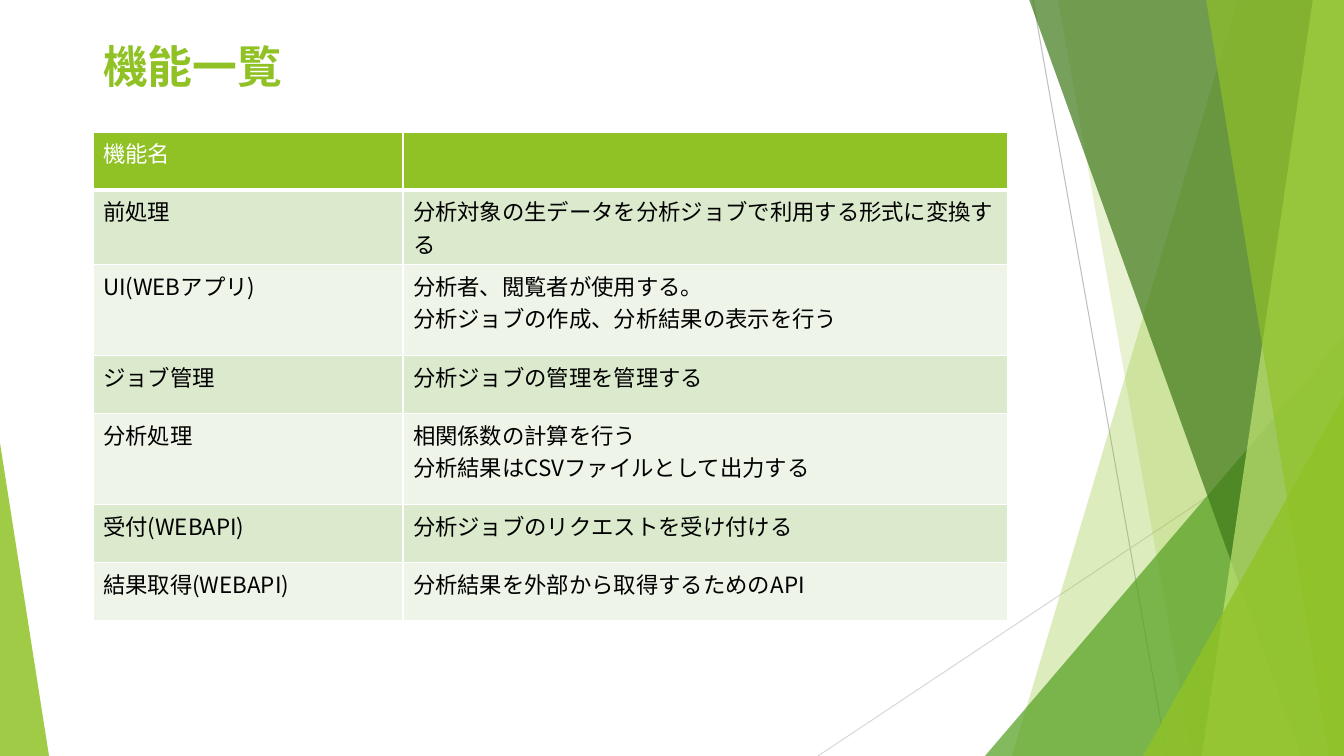
from dataclasses import dataclass

import pptx
import pptx.dml.color
import pptx.enum.shapes
import pptx.enum.text
import pptx.oxml
import pptx.oxml.ns
import pptx.util

PX = 914400 / 100.8
COLORS = {
    "lime": "90C226",
    "green": "54A021",
    "forest": "3F7819",
    "pale": "C0E474",
    "gray": "BFBFBF",
    "light_gray": "D9D9D9",
    "white": "FFFFFF",
    "black": "000000",
    "band_dark": "DBE9CD",
    "band_light": "EEF4E8",
}
JAPANESE_FONT = "Noto Sans CJK JP"


@dataclass
class Ray:
    start: tuple[int, int]
    end: tuple[int, int]
    color: str


@dataclass
class Facet:
    top_x: int
    bottom_x: int
    color: str
    alpha: int


@dataclass
class Corner:
    left: int
    top: int
    width: int
    apex: int
    color: str
    alpha: int


@dataclass
class Feature:
    name: str
    details: list[str]
    height: int = 58


RAYS = [
    Ray((1033, 0), (1167, 756), "gray"),
    Ray((1344, 406), (818, 756), "light_gray"),
]
DECORATIONS = [
    Facet(1238, 1012, "lime", 30),
    Facet(1058, 1192, "lime", 20),
    Corner(985, 336, 359, 1, "green", 72),
    Facet(1029, 1301, "forest", 70),
    Facet(1313, 1202, "pale", 70),
    Facet(1206, 1329, "lime", 65),
    Corner(1143, 396, 201, 1, "lime", 80),
    Corner(0, 443, 49, 0, "lime", 85),
]
FEATURES = [
    Feature("機能名", []),
    Feature("前処理", ["分析対象の生データを分析ジョブで利用する形式に変換する"]),
    Feature("UI(WEBアプリ)", ["分析者、閲覧者が使用する。", "分析ジョブの作成、分析結果の表示を行う"], 91),
    Feature("ジョブ管理", ["分析ジョブの管理を管理する"]),
    Feature("分析処理", ["相関係数の計算を行う", "分析結果はCSVファイルとして出力する"], 91),
    Feature("受付(WEBAPI)", ["分析ジョブのリクエストを受け付ける"]),
    Feature("結果取得(WEBAPI)", ["分析結果を外部から取得するためのAPI"]),
]
COLUMN_WIDTHS = [310, 605]


def px(value: int) -> pptx.util.Emu:
    return pptx.util.Emu(round(value * PX))


def rgb(name: str) -> pptx.dml.color.RGBColor:
    return pptx.dml.color.RGBColor.from_string(COLORS[name])


def style_paragraph(p, size: int, color: str, latin: str, bold: bool = False) -> None:
    p.font.size = pptx.util.Pt(size)
    p.font.bold = bold
    p.font.color.rgb = rgb(color)
    p.font.name = latin
    ea = pptx.oxml.parse_xml(
        f'<a:ea {pptx.oxml.ns.nsdecls("a")} typeface="{JAPANESE_FONT}"/>'
    )
    p.font._element.append(ea)


def draw_ray(slide, ray: Ray) -> None:
    line = slide.shapes.add_connector(
        pptx.enum.shapes.MSO_CONNECTOR.STRAIGHT,
        *map(px, ray.start + ray.end),
    )
    line.line.color.rgb = rgb(ray.color)
    line.line.width = pptx.util.Pt(0.75)
    sp_pr = line._element.spPr
    sp_pr.append(pptx.oxml.parse_xml(f'<a:effectLst {pptx.oxml.ns.nsdecls("a")}/>'))


def fill_shape(sp, color: str, alpha: int) -> None:
    sp.shadow.inherit = False
    sp.line.fill.background()
    sp.fill.solid()
    sp.fill.fore_color.rgb = rgb(color)
    srgb = sp._element.spPr.find(".//" + pptx.oxml.ns.qn("a:srgbClr"))
    srgb.append(pptx.oxml.parse_xml(
        f'<a:alpha {pptx.oxml.ns.nsdecls("a")} val="{alpha * 1000}"/>'
    ))


def draw_facet(slide, facet: Facet) -> None:
    builder = slide.shapes.build_freeform(facet.top_x, -1, scale=PX)
    builder.add_line_segments([(1344, -1), (1344, 756), (facet.bottom_x, 756)])
    fill_shape(builder.convert_to_shape(), facet.color, facet.alpha)


def draw_corner(slide, corner: Corner) -> None:
    sp = slide.shapes.add_shape(
        pptx.enum.shapes.MSO_SHAPE.ISOSCELES_TRIANGLE,
        px(corner.left), px(corner.top), px(corner.width), px(756 - corner.top),
    )
    sp.adjustments[0] = corner.apex
    fill_shape(sp, corner.color, corner.alpha)


def draw_title(slide) -> None:
    title = slide.shapes.title
    title.left, title.top, title.width, title.height = map(px, (93, 40, 882, 77))
    tf = title.text_frame
    tf.text = "機能一覧"
    tf.word_wrap = True
    tf.vertical_anchor = pptx.enum.text.MSO_ANCHOR.TOP
    p = tf.paragraphs[0]
    p.alignment = pptx.enum.text.PP_ALIGN.LEFT
    p.line_spacing = 0.9
    style_paragraph(p, 32, "lime", "Karla", True)


def fill_cell(cell, lines: list[str], fill: str, color: str, bottom: int) -> None:
    tf = cell.text_frame
    tf.text = "\n".join(lines)
    for p in tf.paragraphs:
        style_paragraph(p, 16, color, JAPANESE_FONT)
    tc_pr = cell._tc.get_or_add_tcPr()
    for side, width in {"L": 1, "R": 1, "T": 1, "B": bottom}.items():
        tc_pr.append(pptx.oxml.parse_xml(
            f'<a:ln{side} {pptx.oxml.ns.nsdecls("a")} w="{pptx.util.Pt(width)}">'
            f'<a:solidFill><a:srgbClr val="{COLORS["white"]}"/></a:solidFill></a:ln{side}>'
        ))
    cell.fill.solid()
    cell.fill.fore_color.rgb = rgb(fill)


def draw_table(slide) -> None:
    table = slide.shapes.add_table(
        len(FEATURES), len(COLUMN_WIDTHS), px(93), px(132),
        px(sum(COLUMN_WIDTHS)), px(sum(f.height for f in FEATURES)),
    ).table
    for column, width in zip(table.columns, COLUMN_WIDTHS):
        column.width = px(width)
    for i, feature in enumerate(FEATURES):
        table.rows[i].height = px(feature.height)
        if i == 0:
            look = ("lime", "white", 3)
        else:
            look = ("band_dark" if i % 2 else "band_light", "black", 1)
        for j, lines in enumerate([[feature.name], feature.details]):
            fill_cell(table.cell(i, j), lines, *look)


def main() -> None:
    prs = pptx.Presentation()
    prs.slide_width, prs.slide_height = px(1344), px(756)
    slide = prs.slides.add_slide(prs.slide_layouts[5])
    for ray in RAYS:
        draw_ray(slide, ray)
    for item in DECORATIONS:
        if isinstance(item, Facet):
            draw_facet(slide, item)
        else:
            draw_corner(slide, item)
    draw_title(slide)
    draw_table(slide)
    prs.save("out.pptx")


if __name__ == "__main__":
    main()
